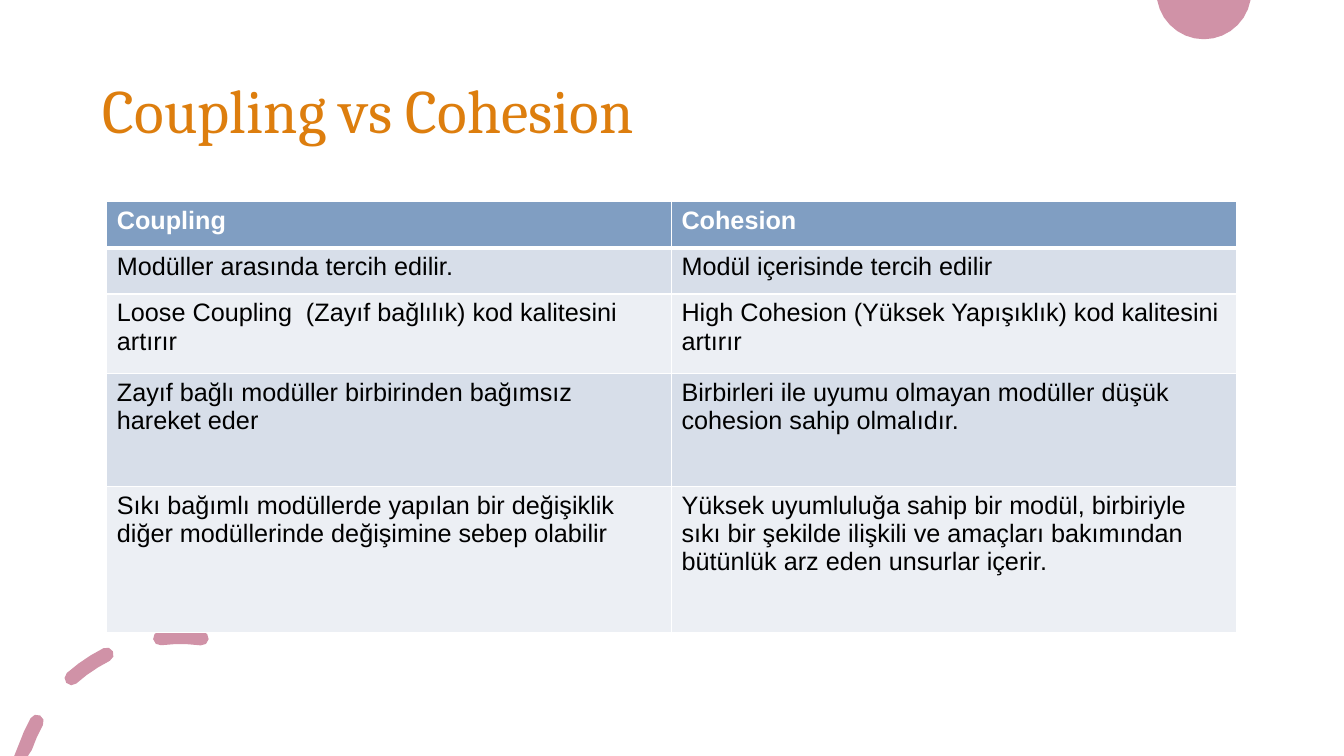
import math

from lxml import etree
from pptx import Presentation
from pptx import util as u
from pptx.dml.color import RGBColor
from pptx.enum import text
from pptx.oxml import ns

WIDTH, HEIGHT = 13.33, 7.5
ROSE = RGBColor(0xD0, 0x92, 0xA7)
ORANGE = RGBColor(0xDD, 0x7E, 0x0E)
BLUE = RGBColor(0x80, 0x9E, 0xC2)
PALE_BLUE = RGBColor(0xD7, 0xDE, 0xE9)
PALE_GRAY = RGBColor(0xEC, 0xEF, 0xF4)
WHITE = RGBColor(0xFF, 0xFF, 0xFF)
BLACK = RGBColor(0, 0, 0)

TITLE_FONT = {"name": "Cambria", "size": u.Pt(44), "color": ORANGE}
HEADER_FONT = {"name": "Arial", "size": u.Pt(18), "bold": True, "color": WHITE}
BODY_FONT = {"name": "Arial", "size": u.Pt(18), "bold": False, "color": BLACK}

COMPARISON = [
    ("Coupling", "Cohesion"),
    ("Modüller arasında tercih edilir.", "Modül içerisinde tercih edilir"),
    ("Loose Coupling  (Zayıf bağlılık) kod kalitesini artırır",
     "High Cohesion (Yüksek Yapışıklık) kod kalitesini artırır"),
    ("Zayıf bağlı modüller birbirinden bağımsız hareket eder",
     "Birbirleri ile uyumu olmayan modüller düşük cohesion sahip olmalıdır."),
    ("Sıkı bağımlı modüllerde yapılan bir değişiklik diğer modüllerinde "
     "değişimine sebep olabilir",
     "Yüksek uyumluluğa sahip bir modül, birbiriyle sıkı bir şekilde ilişkili "
     "ve amaçları bakımından bütünlük arz eden unsurlar içerir."),
]
ROW_SHARES = (0.46, 0.46, 0.79, 1.12, 1.46)


def write(para, words, font):
    span = para.add_run()
    span.text = words
    for name, value in font.items():
        if name == "color":
            span.font.color.rgb = value
        else:
            setattr(span.font, name, value)


def arc(center, radius, start, end, steps):
    """Points on an arc in degrees, kept within the slide's height."""
    points = []
    for step in range(steps + 1):
        angle = math.radians(start + (end - start) * step / steps)
        x = center[0] + radius * math.cos(angle)
        y = center[1] - radius * math.sin(angle)
        points.append((u.Inches(x), u.Inches(min(max(y, 0), HEIGHT))))
    return points


def add_outline(page, contours):
    builder = page.shapes.build_freeform(*contours[0][0])
    for index, contour in enumerate(contours):
        if index:
            builder.move_to(*contour[0])
        builder.add_line_segments(contour[1:], close=True)
    shape = builder.convert_to_shape()
    shape.shadow.inherit = False
    shape.fill.solid()
    shape.fill.fore_color.rgb = ROSE
    shape.line.fill.background()


def round_dash(center, radius, half, start, end):
    """Outline of a curved dash with round ends."""
    def cap(angle, turn):
        x, y = arc(center, radius, angle, angle, 1)[0]
        middle = x / u.Inches(1), y / u.Inches(1)
        return arc(middle, half, turn, turn + 180, 4)[1:-1]

    return (arc(center, radius + half, start, end, 3) + cap(end, end)
            + arc(center, radius - half, end, start, 3)
            + cap(start, start + 180))


def add_decor(page):
    # Disc cut by the top edge
    add_outline(page, [arc((11.94, -0.08), 0.47, 190, 350, 14)])
    # Ring of dashes in the lower left corner
    dashes = ((82.6, 97.1), (116.7, 131.5), (151, 166))
    add_outline(page, [round_dash((1.79, 7.95), 1.63, 0.07, *dash)
                       for dash in dashes])


def add_title(page, left, top, width, height):
    box = page.shapes.add_textbox(*map(u.Inches, (left, top, width, height)))
    frame = box.text_frame
    frame.word_wrap = True
    frame.vertical_anchor = text.MSO_ANCHOR.MIDDLE
    para = frame.paragraphs[0]
    para.line_spacing = 0.9
    write(para, "Coupling vs Cohesion", TITLE_FONT)


def set_borders(cell, widths):
    props = cell._tc.get_or_add_tcPr()
    for index, (side, width) in enumerate(widths.items()):
        line = etree.Element(ns.qn(f"a:ln{side}"), w=str(u.Pt(width)))
        fill = etree.SubElement(line, ns.qn("a:solidFill"))
        etree.SubElement(fill, ns.qn("a:srgbClr"), val=str(WHITE))
        props.insert(index, line)


def add_comparison(page, left, top, width, height):
    rows, columns = len(COMPARISON), len(COMPARISON[0])
    table = page.shapes.add_table(
        rows, columns, *map(u.Inches, (left, top, width, height))).table
    for column in table.columns:
        column.width = u.Inches(width / columns)
    for index, (share, entries) in enumerate(zip(ROW_SHARES, COMPARISON)):
        table.rows[index].height = u.Inches(height * share / sum(ROW_SHARES))
        header = index == 0
        color = BLUE if header else (PALE_GRAY, PALE_BLUE)[index % 2]
        borders = {"L": 1, "R": 1, "T": 3 if index == 1 else 1,
                   "B": 3 if header else 1}
        for cell, words in zip(table.rows[index].cells, entries):
            cell.fill.solid()
            cell.fill.fore_color.rgb = color
            set_borders(cell, borders)
            write(cell.text_frame.paragraphs[0], words,
                  HEADER_FONT if header else BODY_FONT)


def main():
    deck = Presentation()
    deck.slide_width, deck.slide_height = u.Inches(WIDTH), u.Inches(HEIGHT)
    page = deck.slides.add_slide(deck.slide_layouts[6])
    add_decor(page)
    add_title(page, 0.92, 0.4, 11.5, 1.45)
    add_comparison(page, 1.06, 2, 11.2, 4.28)
    deck.save("out.pptx")


if __name__ == "__main__":
    main()
